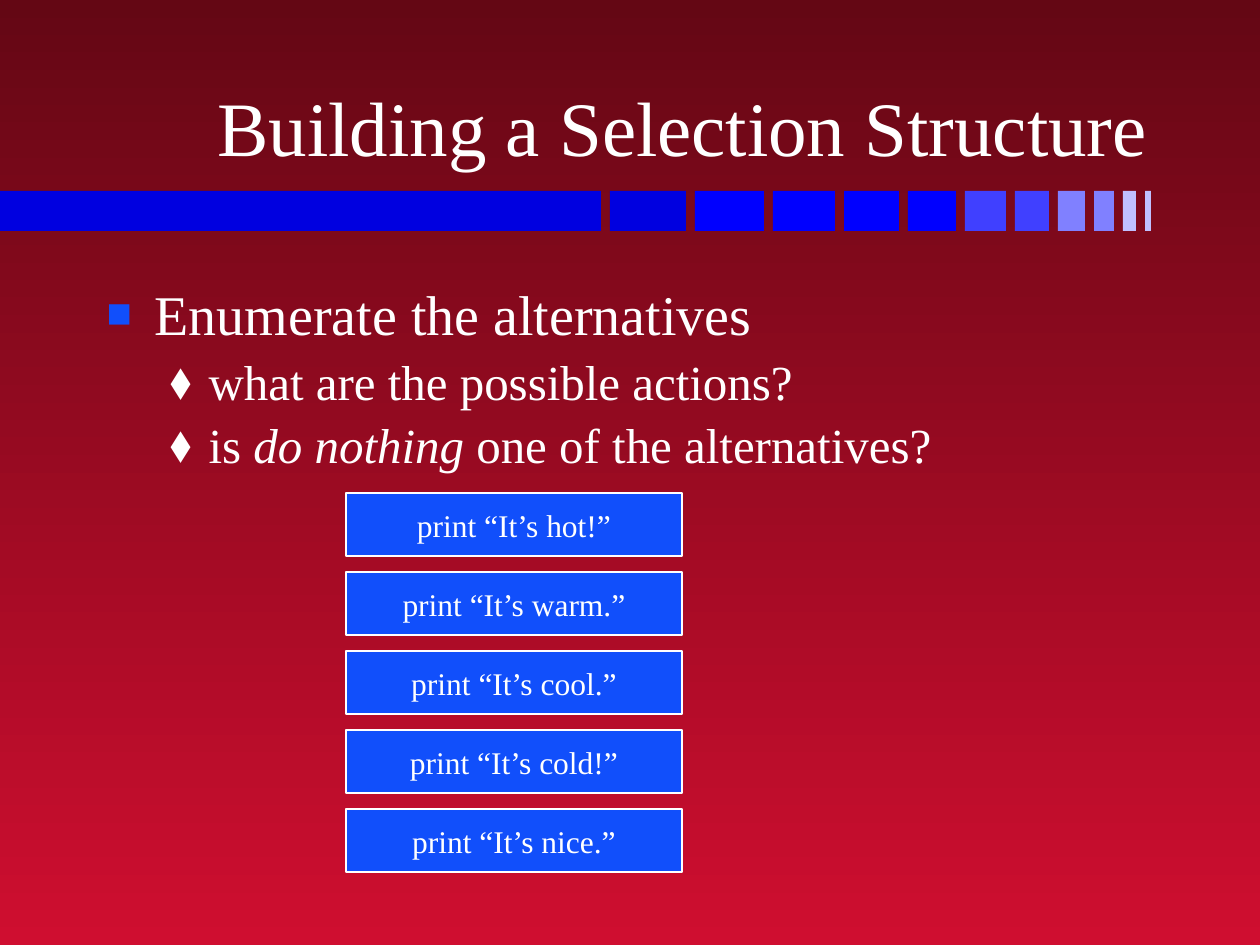
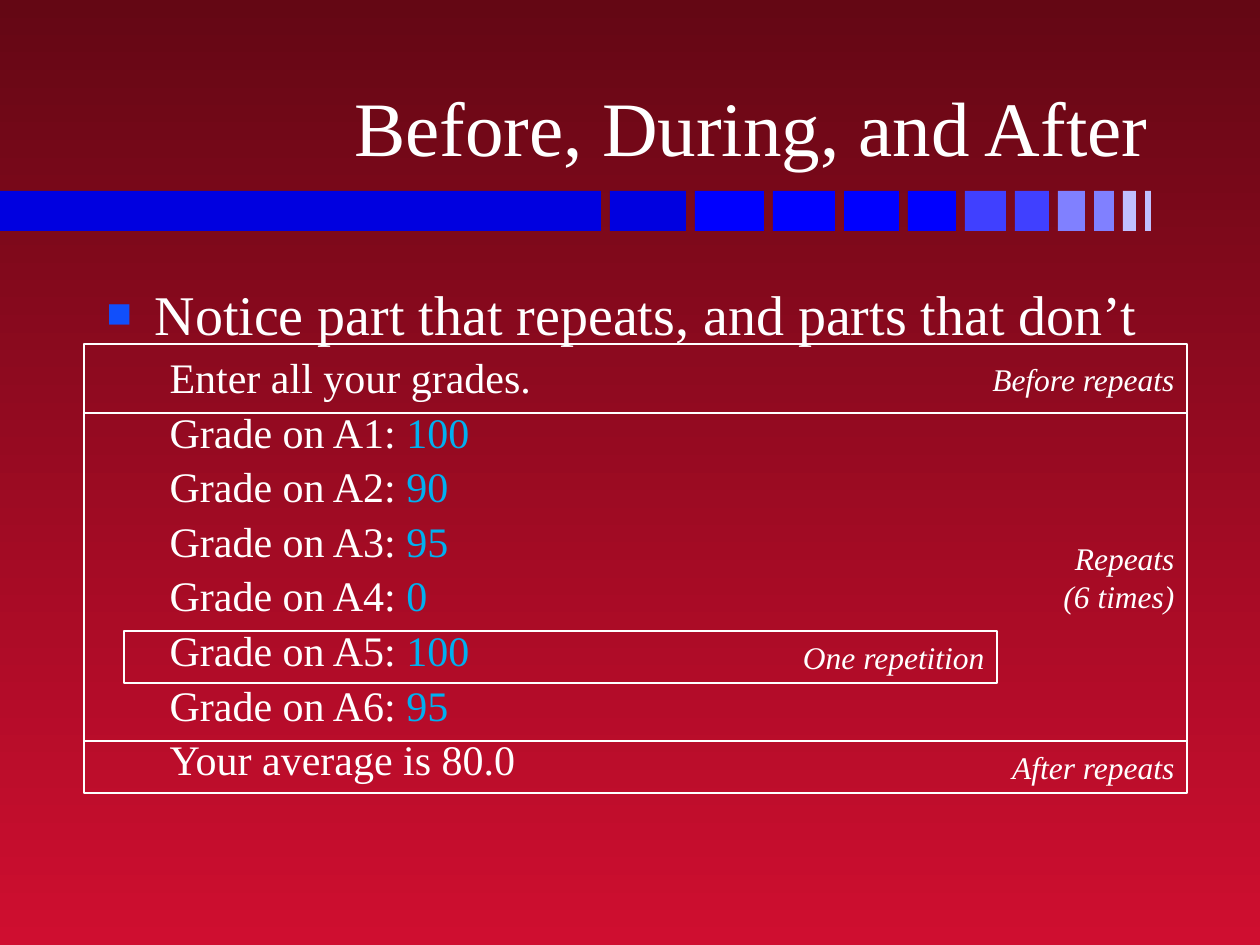
"""Build two slides on selection structures and repetition."""
from dataclasses import dataclass

import lxml.etree
import pptx
import pptx.dml.color
import pptx.enum.shapes
import pptx.enum.text
import pptx.oxml.ns
import pptx.util

PX = 914400 / 126
FONT = "Times New Roman"
WHITE = "FFFFFF"
ACCENT = "114FFB"
USER_INPUT = "00B0F0"
BACKDROP = ("640714", "CF0E30")
BAND_COLORS = ("0000E0",) * 2 + ("0000FF",) * 4 + ("4040FF",) * 2 + ("8080FF",) * 2 + ("C0C0FF",) * 2
BAND_TOP, BAND_HEIGHT, BAND_GAP = 191, 40, 9
BAND_WIDTHS = [601] + [76 - 7 * step for step in range(11)]
ALIGN = pptx.enum.text.PP_ALIGN
ANCHOR = pptx.enum.text.MSO_ANCHOR


@dataclass(frozen=True)
class Area:
    left: int
    top: int
    width: int
    height: int


@dataclass(frozen=True)
class Span:
    text: str
    color: str = WHITE
    italic: bool = False


@dataclass(frozen=True)
class LineStyle:
    level: int
    size: int
    margin: int
    hang: int
    space_before: float
    bullet: str = ""
    bullet_color: str = WHITE
    bullet_percent: int = 100


@dataclass(frozen=True)
class Line:
    style: LineStyle
    spans: tuple[Span, ...]


@dataclass(frozen=True)
class Panel:
    area: Area
    text: str
    fill: str | None = None
    align: ALIGN = ALIGN.RIGHT
    italic: bool = True


TITLE_AREA = Area(93, 24, 1068, 154)
BODY_AREA = Area(94, 273, 1071, 567)
POINT = LineStyle(0, 32, 48, 48, 0, "■", ACCENT, 75)
QUESTION = LineStyle(1, 28, 102, 39, 2.4, "⬧")
CONSOLE = LineStyle(1, 24, 102, 39, 2.4)


def px(length: float) -> int:
    return round(length * PX)


def rgb(value: str) -> pptx.dml.color.RGBColor:
    return pptx.dml.color.RGBColor.from_string(value)


def place(shape, area: Area) -> None:
    shape.left, shape.top = px(area.left), px(area.top)
    shape.width, shape.height = px(area.width), px(area.height)


def style_run(run, size: int, color: str = WHITE, italic: bool = False) -> None:
    run.font.name = FONT
    run.font.size = pptx.util.Pt(size)
    run.font.color.rgb = rgb(color)
    run.font.italic = italic


def add_rectangle(slide, area: Area, fill: str | None, line: str | None = None):
    rectangle = slide.shapes.add_shape(
        pptx.enum.shapes.MSO_SHAPE.RECTANGLE,
        px(area.left), px(area.top), px(area.width), px(area.height))
    rectangle.shadow.inherit = False
    if fill:
        rectangle.fill.solid()
        rectangle.fill.fore_color.rgb = rgb(fill)
    else:
        rectangle.fill.background()
    if line:
        rectangle.line.color.rgb = rgb(line)
        rectangle.line.width = pptx.util.Pt(1)
    else:
        rectangle.line.fill.background()
    return rectangle


def add_band(slide) -> None:
    left = 0
    for width, color in zip(BAND_WIDTHS, BAND_COLORS):
        add_rectangle(slide, Area(left, BAND_TOP, width, BAND_HEIGHT), color)
        left += width + BAND_GAP


def set_bullet(paragraph, style: LineStyle) -> None:
    properties = paragraph._p.get_or_add_pPr()
    properties.set("marL", str(px(style.margin)))
    properties.set("indent", str(-px(style.hang)))

    def add(parent, tag: str, **attributes: str):
        return lxml.etree.SubElement(parent, pptx.oxml.ns.qn(f"a:{tag}"), attributes)

    if not style.bullet:
        add(properties, "buNone")
        return
    add(add(properties, "buClr"), "srgbClr", val=style.bullet_color)
    add(properties, "buSzPct", val=str(style.bullet_percent * 1000))
    add(properties, "buFont", typeface=FONT)
    add(properties, "buChar", char=style.bullet)


def fill_title(slide, text: str) -> None:
    title = slide.shapes.title
    place(title, TITLE_AREA)
    frame = title.text_frame
    frame.text = text
    frame.vertical_anchor = ANCHOR.BOTTOM
    frame.auto_size = pptx.enum.text.MSO_AUTO_SIZE.NONE
    frame.paragraphs[0].alignment = ALIGN.RIGHT
    style_run(frame.paragraphs[0].runs[0], 44)


def fill_body(slide, lines: list[Line]) -> None:
    body = slide.placeholders[1]
    place(body, BODY_AREA)
    frame = body.text_frame
    frame.auto_size = pptx.enum.text.MSO_AUTO_SIZE.NONE
    frame.margin_top = px(7)
    for index, line in enumerate(lines):
        paragraph = frame.add_paragraph() if index else frame.paragraphs[0]
        paragraph.level = line.style.level
        set_bullet(paragraph, line.style)
        paragraph.space_before = pptx.util.Pt(line.style.space_before)
        for span in line.spans:
            run = paragraph.add_run()
            run.text = span.text
            style_run(run, line.style.size, span.color, span.italic)


def add_panel(slide, panel: Panel) -> None:
    frame = add_rectangle(slide, panel.area, panel.fill, WHITE).text_frame
    frame.word_wrap = False
    frame.vertical_anchor = ANCHOR.MIDDLE
    paragraph = frame.paragraphs[0]
    paragraph.text = panel.text
    paragraph.alignment = panel.align
    for run in paragraph.runs:
        style_run(run, 18, italic=panel.italic)


def add_slide(deck, title: str, lines: list[Line], panels: list[Panel]) -> None:
    slide = deck.slides.add_slide(deck.slide_layouts[1])
    add_band(slide)
    fill_title(slide, title)
    fill_body(slide, lines)
    for panel in panels:
        add_panel(slide, panel)


def set_backdrop(deck) -> None:
    fill = deck.slide_master.background.fill
    fill.gradient()
    fill.gradient_angle = 270
    for stop, color in zip(fill.gradient_stops, BACKDROP):
        stop.color.rgb = rgb(color)


def add_selection_slide(deck) -> None:
    lines = [
        Line(POINT, (Span("Enumerate the alternatives"),)),
        Line(QUESTION, (Span("what are the possible actions?"),)),
        Line(QUESTION, (Span("is "), Span("do nothing", italic=True),
                        Span(" one of the alternatives?"))),
    ]
    messages = ("It’s hot!", "It’s warm.", "It’s cool.", "It’s cold!", "It’s nice.")
    actions = [
        Panel(Area(346, 493 + 79 * row, 336, 63), f"print “{message}”",
              ACCENT, ALIGN.CENTER, False)
        for row, message in enumerate(messages)
    ]
    add_slide(deck, "Building a Selection Structure", lines, actions)


def add_repetition_slide(deck) -> None:
    grades = (100, 90, 95, 0, 100, 95)
    lines = [
        Line(POINT, (Span("Notice part that repeats, and parts that don’t"),)),
        Line(CONSOLE, (Span("Enter all your grades."),)),
        *(Line(CONSOLE, (Span(f"Grade on A{number}: "), Span(str(grade), USER_INPUT)))
          for number, grade in enumerate(grades, 1)),
        Line(CONSOLE, (Span("Your average is 80.0"),)),
    ]
    phases = []
    top = 344
    for text, height in (("Before repeats", 69), ("Repeats\n(6 times)", 328), ("After repeats", 52)):
        phases.append(Panel(Area(84, top, 1103, height), text))
        top += height
    phases.append(Panel(Area(124, 631, 873, 52), "One repetition"))
    add_slide(deck, "Before, During, and After", lines, phases)


def main() -> None:
    deck = pptx.Presentation()
    deck.slide_width, deck.slide_height = px(1260), px(945)
    set_backdrop(deck)
    add_selection_slide(deck)
    add_repetition_slide(deck)
    deck.save("out.pptx")


if __name__ == "__main__":
    main()
